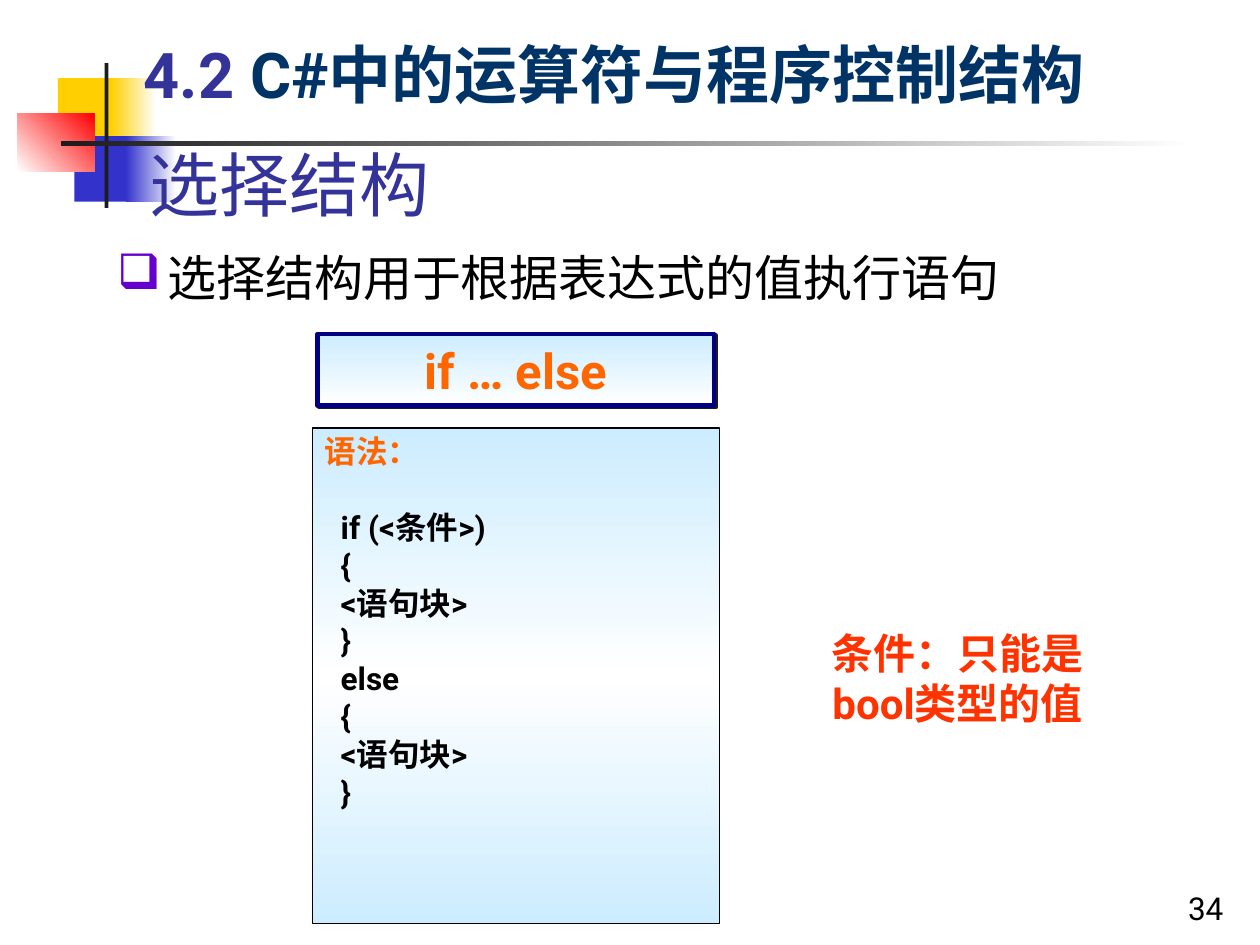
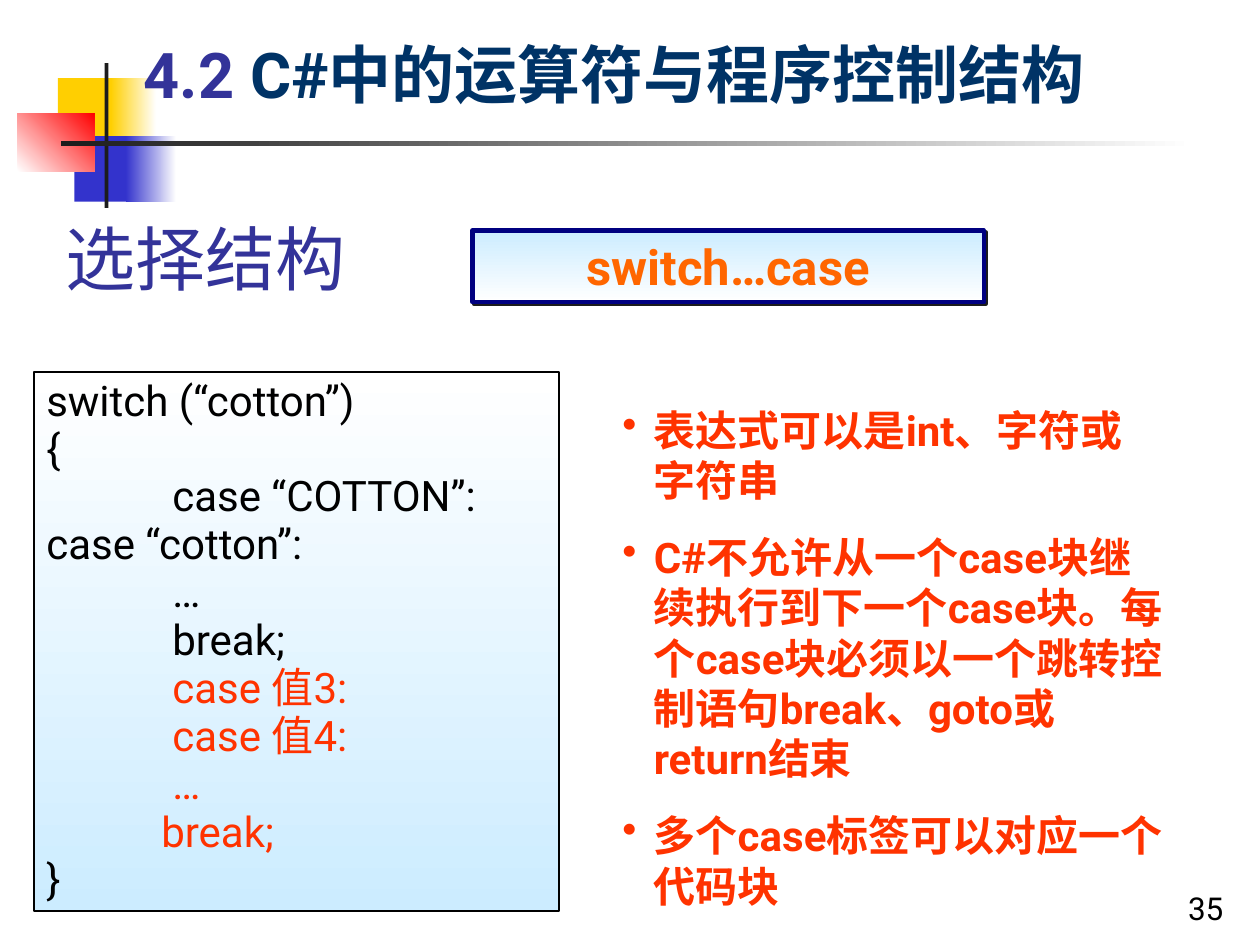
"""Builds two slides on selection structures in C#."""
from lxml.etree import SubElement
from pptx import Presentation
from pptx.dml.color import RGBColor
from pptx.enum.shapes import MSO_SHAPE as Preset
from pptx.enum.text import MSO_ANCHOR as Anchor, MSO_AUTO_SIZE as Fit, PP_ALIGN as Align
from pptx.oxml.ns import qn
from pptx.util import Pt

FONT = "Roboto"
BLACK = RGBColor(0x00, 0x00, 0x00)
WHITE = RGBColor(0xFF, 0xFF, 0xFF)
CHARCOAL = RGBColor(0x1C, 0x1C, 0x1C)
YELLOW = RGBColor(0xFF, 0xCF, 0x01)
BLUE = RGBColor(0x33, 0x33, 0xCC)
RED = RGBColor(0xFF, 0x00, 0x00)
INDIGO = RGBColor(0x33, 0x33, 0x99)
DEEP_BLUE = RGBColor(0x00, 0x33, 0x66)
NAVY = RGBColor(0x00, 0x00, 0x80)
SKY = RGBColor(0xCC, 0xEC, 0xFF)
ORANGE = RGBColor(0xFF, 0x66, 0x00)
VERMILION = RGBColor(0xFF, 0x33, 0x00)
VIOLET = RGBColor(0x66, 0x00, 0xCC)

FRAME = dict(word_wrap=True, auto_size=Fit.NONE,
             margin_left=Pt(7.2), margin_right=Pt(7.2),
             margin_top=Pt(3.6), margin_bottom=Pt(3.6))
CODE_LINE = dict(line_spacing=0.95)

ORNAMENTS = [
    ((33.1, 44.6, 34.6, 37.4), [YELLOW], 0),
    ((63.4, 44.6, 25.9, 37.4), [YELLOW, WHITE], 0),
    ((42.5, 77.8, 33.1, 37.4), [BLUE], 0),
    ((72, 77.8, 28.8, 37.4), [BLUE, WHITE], 0),
    ((10.1, 64.8, 43.9, 33.1), [WHITE, RED], 315),
    ((59.8, 36, 2.2, 82.8), [CHARCOAL], 0),
    ((34.6, 80.6, 648, 2.9), [CHARCOAL, WHITE], 0),
]


def assign(target, values):
    for name, value in values.items():
        setattr(target, name, value)


class Deck:
    def __init__(self):
        self.prs = Presentation()
        assign(self.prs, dict(slide_width=Pt(720), slide_height=Pt(540)))
        self.layout = self.prs.slide_layouts[5]
        for footer in list(self.layout.placeholders)[1:]:
            self.layout.shapes.element.remove(footer.element)
        self.slide = None

    def start(self, topic, place, number):
        first = self.slide is None
        self.slide = self.prs.slides.add_slide(self.layout)
        if first:
            self.share_ornaments()
        title = self.slide.shapes.title
        assign(title, dict(zip(("left", "top", "width", "height"), map(Pt, place))))
        self.typeset(title, [([(topic, INDIGO)], {})], 40, anchor=Anchor.MIDDLE)
        self.text((0, 15.1, 702, 54),
                  [([("4.2 ", INDIGO), ("C#中的运算符与程序控制结构", DEEP_BLUE)],
                    dict(alignment=Align.CENTER))], 36, True, Anchor.MIDDLE)
        self.text((671.8, 504.7, 41.8, 33.1), [([(str(number), BLACK)], {})], 18)

    def share_ornaments(self):
        for place, colors, angle in ORNAMENTS:
            ornament = self.box(place, colors, angle)
            self.layout.shapes.element.append(ornament.element)

    def box(self, place, colors, angle=90, outline=None, weight=1):
        box = self.slide.shapes.add_shape(Preset.RECTANGLE, *map(Pt, place))
        box.shadow.inherit = False
        if len(colors) == 1:
            box.fill.solid()
            box.fill.fore_color.rgb = colors[0]
        else:
            self.blend(box, colors, angle)
        if outline is None:
            box.line.fill.background()
        else:
            box.line.color.rgb = outline
            box.line.width = Pt(weight)
        return box

    def blend(self, box, colors, angle):
        box.fill.gradient()
        gradient = box.element.spPr.find(qn("a:gradFill"))
        gradient.find(qn("a:lin")).set("ang", str(angle * 60000))
        stops = gradient.find(qn("a:gsLst"))
        for stop in list(stops):
            stops.remove(stop)
        for i, color in enumerate(colors):
            stop = SubElement(stops, qn("a:gs"), pos=str(100000 * i // (len(colors) - 1)))
            SubElement(stop, qn("a:srgbClr"), val=str(color))

    def banner(self, place, keyword):
        banner = self.box(place, [SKY, WHITE], outline=NAVY, weight=2.5)
        effects = banner.element.spPr.find(qn("a:effectLst"))
        shadow = SubElement(effects, qn("a:outerShdw"), dist=str(Pt(1.4)),
                            dir=str(45 * 60000), algn="ctr", rotWithShape="0")
        SubElement(shadow, qn("a:srgbClr"), val=str(CHARCOAL))
        self.typeset(banner, [([(keyword, ORANGE)], dict(alignment=Align.CENTER))], 28, True)

    def panel(self, place, colors, lines, size, bold=False):
        self.typeset(self.box(place, colors, outline=BLACK), lines, size, bold)

    def text(self, place, lines, size, bold=False, anchor=Anchor.TOP):
        label = self.slide.shapes.add_textbox(*map(Pt, place))
        self.typeset(label, lines, size, bold, anchor)
        return label

    def bullets(self, place, items, size, mark, mark_color, color, hang, gap, bold=False):
        points = self.text(place, [([(item, color)], dict(space_before=Pt(gap)))
                                   for item in items], size, bold)
        for point in points.text_frame.paragraphs:
            props = self.indent(point, hang, -hang)
            tint = SubElement(props, qn("a:buClr"))
            SubElement(tint, qn("a:srgbClr"), val=str(mark_color))
            SubElement(props, qn("a:buChar"), char=mark)

    def indent(self, paragraph, left, first):
        props = paragraph._p.get_or_add_pPr()
        props.set("marL", str(Pt(left)))
        props.set("indent", str(Pt(first)))
        return props

    def typeset(self, holder, lines, size, bold=False, anchor=Anchor.TOP):
        frame = holder.text_frame
        assign(frame, dict(FRAME, vertical_anchor=anchor))
        for i, (runs, layout) in enumerate(lines):
            paragraph = frame.add_paragraph() if i else frame.paragraphs[0]
            layout = dict(layout)
            first = layout.pop("first", 0)
            assign(paragraph, dict(dict(alignment=Align.LEFT), **layout))
            if first:
                self.indent(paragraph, 0, first)
            for words, color in runs:
                run = paragraph.add_run()
                run.text = words
                assign(run.font, dict(name=FONT, size=Pt(size), bold=bold))
                run.font.color.rgb = color


def if_else_slide(deck):
    deck.start("选择结构", (78.5, 77.8, 527, 54), 34)
    syntax = ["if (<条件>)", "{", "<语句块>", "}", "else", "{", "<语句块>", "}"]
    lines = [([("语法：", ORANGE)], dict(CODE_LINE, space_before=Pt(1.1)))]
    lines += [([(code, BLACK)], dict(CODE_LINE, first=9, space_before=Pt(1.1 if i else 23)))
              for i, code in enumerate(syntax)]
    deck.panel((178.6, 244.8, 232.6, 283), [SKY, WHITE, SKY], lines, 18, True)
    deck.bullets((59.8, 138.2, 595.4, 41), ["选择结构用于根据表达式的值执行语句"],
                 28, "❑", VIOLET, BLACK, hang=28.8, gap=17.5)
    deck.banner((181.4, 190.8, 226.8, 41), "if … else")
    deck.text((462.2, 355, 170, 64.8),
              [([("条件：只能是bool类型的值", VERMILION)],
                dict(alignment=Align.CENTER, space_before=Pt(15)))], 24, True)


def switch_slide(deck):
    deck.start("选择结构", (30.2, 120.2, 522.7, 54), 35)
    listing = [("switch (“cotton”)", 0, BLACK), ("{", 0, BLACK),
               ("case “COTTON”:", 72, BLACK), ("case “cotton”:", 0, BLACK),
               ("…", 72, BLACK), ("break;", 72, BLACK),
               ("case 值3:", 72, VERMILION), ("case 值4:", 72, VERMILION),
               ("…", 72, VERMILION), ("break;", 65.7, VERMILION), ("}", 0, BLACK)]
    lines = [([(code, color)], dict(CODE_LINE, first=first))
             for code, first, color in listing]
    lines[0][1]["space_before"] = Pt(1.5)
    deck.panel((19.4, 212.4, 300.2, 308.2), [WHITE, SKY], lines, 24)
    deck.banner((270, 131.8, 292.3, 41), "switch…case")
    rules = ["表达式可以是int、字符或字符串",
             "C#不允许从一个case块继续执行到下一个case块。"
             "每个case块必须以一个跳转控制语句break、goto或return结束",
             "多个case标签可以对应一个代码块"]
    deck.bullets((348.5, 227.5, 323.3, 296.6), rules, 24, "•", VERMILION, VERMILION,
                 hang=18, gap=15, bold=True)


def main():
    deck = Deck()
    if_else_slide(deck)
    switch_slide(deck)
    deck.prs.save("out.pptx")


if __name__ == "__main__":
    main()
